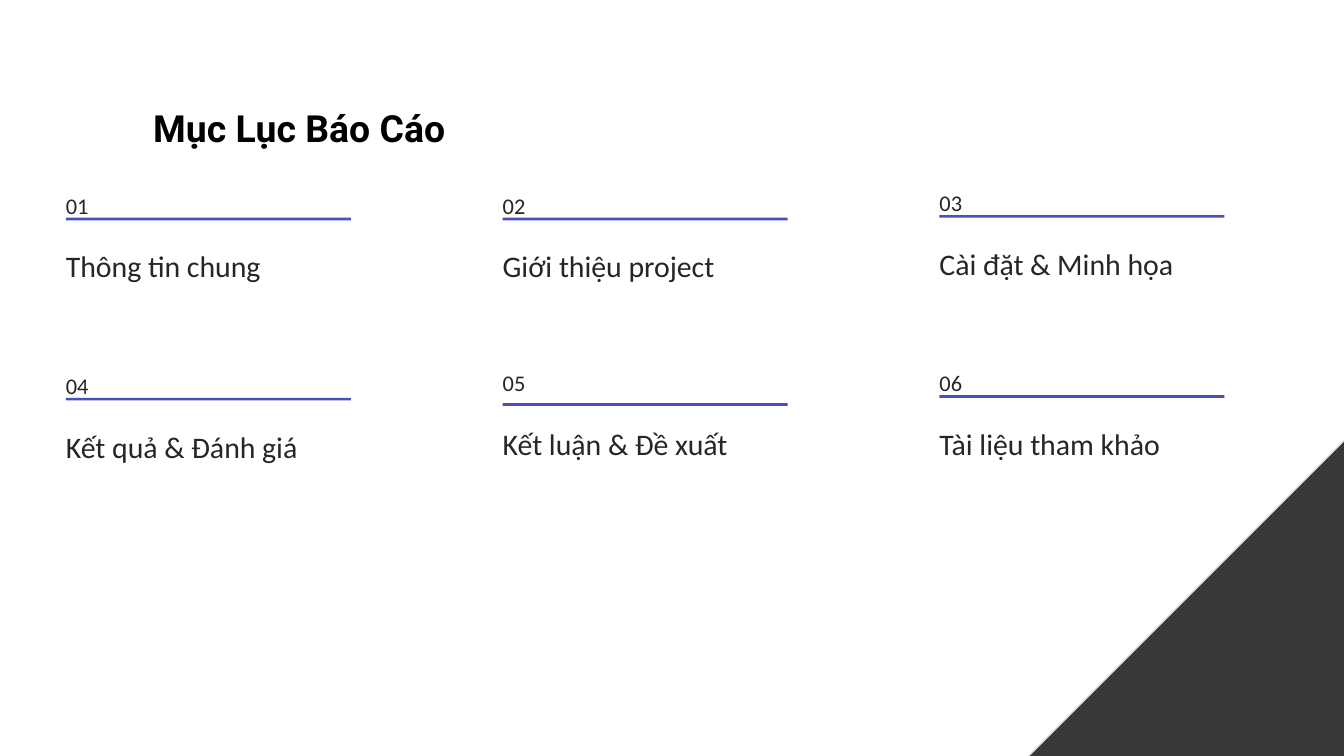
from pptx import Presentation
from pptx.dml.color import RGBColor
from pptx.enum.shapes import MSO_SHAPE
from pptx.util import Inches, Pt

RECTANGLE = MSO_SHAPE.RECTANGLE
RIGHT_TRIANGLE = MSO_SHAPE.RIGHT_TRIANGLE

COLORS = {
    "title": "000000",
    "text": "272525",
    "rule": "4950BC",
    "corner": "383838",
    "corner_edge": "DBDBDB",
}

COLUMN_LEFT = 0.49
COLUMN_STEP = 3.25
ENTRY_WIDTH = 2.71
RULE_OFFSET = 0.34

ENTRIES = [
    ("Thông tin chung", 1.28, RULE_OFFSET),
    ("Giới thiệu project", 1.28, RULE_OFFSET),
    ("Cài đặt & Minh họa", 1.26, RULE_OFFSET),
    ("Kết quả & Đánh giá", 2.62, RULE_OFFSET),
    ("Kết luận & Đề xuất", 2.60, 0.40),
    ("Tài liệu tham khảo", 2.60, RULE_OFFSET),
]


def color(name):
    return RGBColor.from_string(COLORS[name])


def add_text(slide, text, left, top, width, height, size, spacing,
             font_name="Calibri", color_name="text", bold=False):
    box = slide.shapes.add_textbox(
        Inches(left), Inches(top), Inches(width), Inches(height))
    frame = box.text_frame
    frame.margin_left = frame.margin_right = 0
    frame.margin_top = frame.margin_bottom = 0
    frame.word_wrap = False
    paragraph = frame.paragraphs[0]
    paragraph.text = text
    paragraph.line_spacing = Pt(spacing)
    paragraph.font.name = font_name
    paragraph.font.size = Pt(size)
    paragraph.font.bold = bold
    paragraph.font.color.rgb = color(color_name)


def add_filled_shape(slide, kind, left, top, width, height, fill_name):
    shape = slide.shapes.add_shape(
        kind, Inches(left), Inches(top), Inches(width), Inches(height))
    shape.shadow.inherit = False
    shape.fill.solid()
    shape.fill.fore_color.rgb = color(fill_name)
    shape.line.fill.background()
    return shape


def add_corner(slide, left, top, size):
    corner = add_filled_shape(
        slide, RIGHT_TRIANGLE, left, top, size, size, "corner")
    corner.line.color.rgb = color("corner_edge")
    corner.line.width = Pt(0.75)
    corner.element.spPr.xfrm.set("flipH", "1")


def add_title(slide, left, top, width, height):
    add_text(slide, "Mục Lục Báo Cáo", left, top, width, height, 20, 48.5,
             font_name="Roboto", color_name="title", bold=True)


def add_entry(slide, number, text, left, top, width, rule_offset):
    add_text(slide, f"{number:02d}", left, top, 0.22, 0.27, 12, 25)
    add_filled_shape(
        slide, RECTANGLE, left, top + rule_offset, 2.12, 0.02, "rule")
    add_text(slide, text, left, top + 0.5, width, 0.34, 16, 24)


def add_contents(slide, left, width):
    for index, (text, top, rule_offset) in enumerate(ENTRIES):
        entry_left = left + index % 3 * COLUMN_STEP
        add_entry(slide, index + 1, text, entry_left, top, width, rule_offset)


def main():
    presentation = Presentation()
    presentation.slide_width = Inches(10)
    presentation.slide_height = Inches(10 * 9 / 16)
    slide = presentation.slides.add_slide(presentation.slide_layouts[6])
    add_corner(slide, 6.35, 1.68, 5.25)
    add_title(slide, 1.14, 0.44, 5.43, 0.59)
    add_contents(slide, COLUMN_LEFT, ENTRY_WIDTH)
    presentation.save("out.pptx")


if __name__ == "__main__":
    main()
